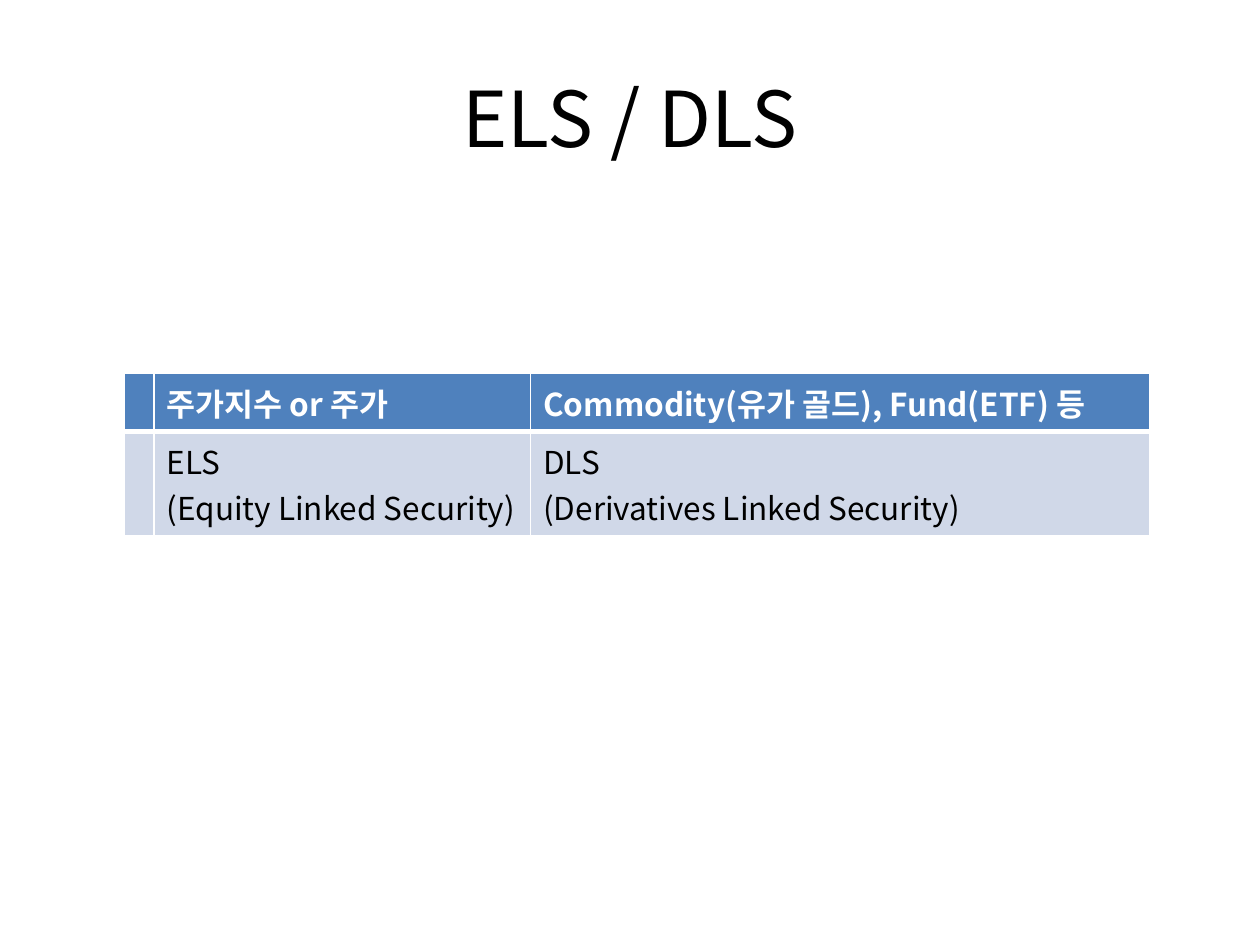
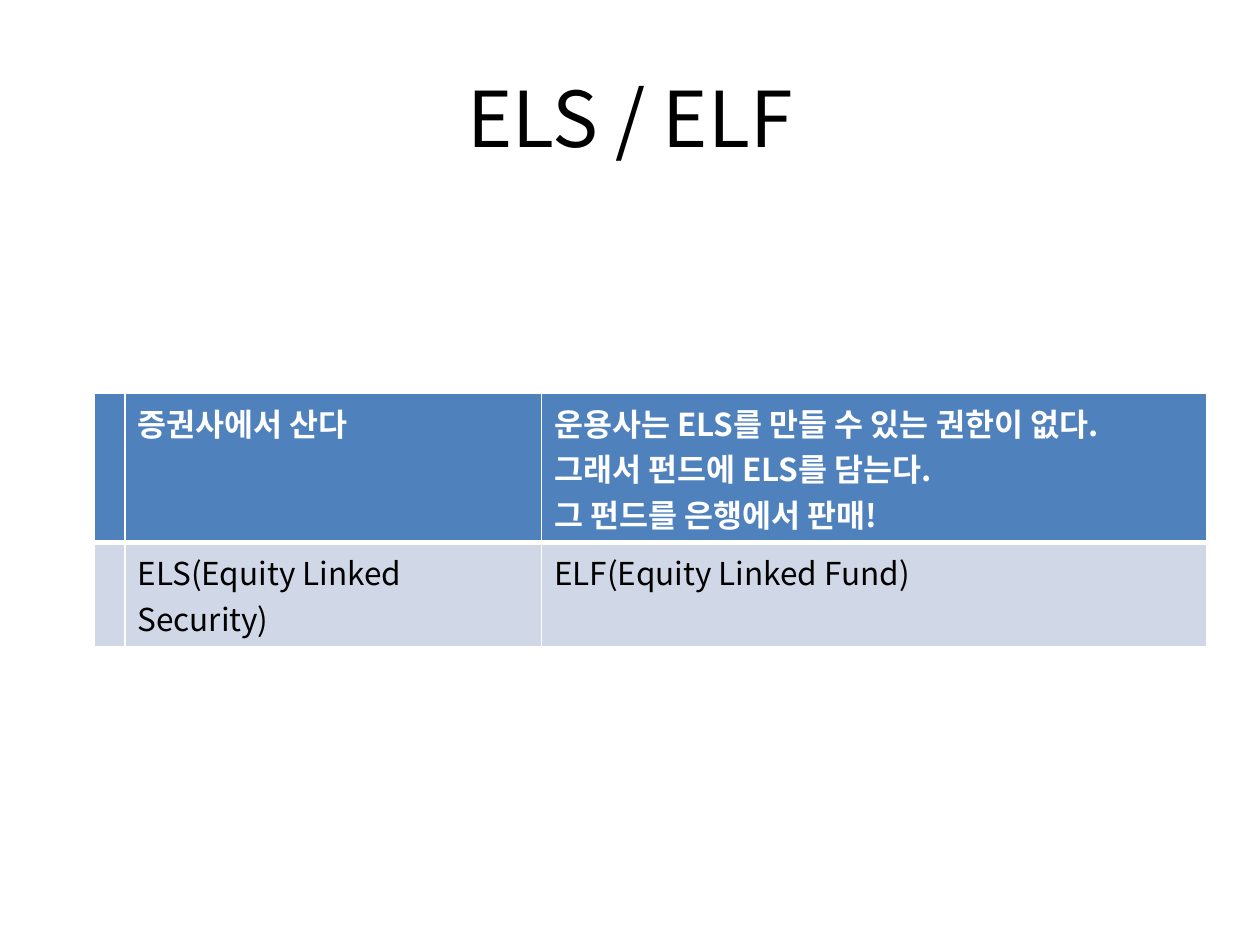
from lxml.etree import SubElement
from pptx import Presentation
from pptx.dml.color import RGBColor
from pptx.enum.text import MSO_ANCHOR, PP_ALIGN
from pptx.oxml import parse_xml
from pptx.oxml.ns import nsdecls, qn
from pptx.util import Cm, Pt

FONT = "Noto Sans CJK KR"
BLACK = RGBColor(0x00, 0x00, 0x00)
WHITE = RGBColor(0xFF, 0xFF, 0xFF)
HEADER_BLUE = RGBColor(0x4F, 0x81, 0xBD)
BODY_BLUE = RGBColor(0xD0, 0xD8, 0xE8)
TITLE_ONLY = 5
ROW_HEIGHT = 1.04
THIN, THICK = 1, 3


def format_text(text_frame, size, color, bold=False):
    for paragraph in text_frame.paragraphs:
        for run in paragraph.runs:
            font = run.font
            font.name = FONT
            font.size = Pt(size)
            font.bold = bold
            font.color.rgb = color
            SubElement(font._element, qn("a:ea"), typeface=FONT)


def set_borders(cell, top, bottom):
    widths = {"lnL": THIN, "lnR": THIN, "lnT": top, "lnB": bottom}
    properties = cell._tc.get_or_add_tcPr()
    for position, (side, width) in enumerate(widths.items()):
        border = parse_xml(
            f'<a:{side} {nsdecls("a")} w="{Pt(width)}"><a:solidFill>'
            f'<a:srgbClr val="{WHITE}"/></a:solidFill></a:{side}>'
        )
        properties.insert(position, border)


def fill_cell(cell, text, is_header):
    cell.fill.solid()
    cell.fill.fore_color.rgb = HEADER_BLUE if is_header else BODY_BLUE
    if is_header:
        set_borders(cell, THIN, THICK)
    else:
        set_borders(cell, THICK, THIN)
    if text:
        cell.text_frame.text = text
        format_text(cell.text_frame, 18, WHITE if is_header else BLACK, is_header)


def add_title(slide, text):
    title = slide.shapes.title
    title.left, title.top = Cm(1.27), Cm(0.76)
    title.width, title.height = Cm(22.86), Cm(3.18)
    title.text_frame.text = text
    title.text_frame.vertical_anchor = MSO_ANCHOR.MIDDLE
    title.text_frame.paragraphs[0].alignment = PP_ALIGN.CENTER
    format_text(title.text_frame, 44, BLACK)


def add_comparison(slide, left, top, column_widths, row_heights, rows):
    table = slide.shapes.add_table(
        len(rows), len(column_widths), Cm(left), Cm(top),
        Cm(sum(column_widths)), Cm(sum(row_heights)),
    ).table
    for column, width in zip(table.columns, column_widths):
        column.width = Cm(width)
    for row, height in zip(table.rows, row_heights):
        row.height = Cm(height)
    for row_index, texts in enumerate(rows):
        for column_index, text in enumerate(texts):
            fill_cell(table.cell(row_index, column_index), text, row_index == 0)


def add_comparison_slide(deck, title, **comparison):
    slide = deck.slides.add_slide(deck.slide_layouts[TITLE_ONLY])
    add_title(slide, title)
    add_comparison(slide, **comparison)


def main():
    deck = Presentation()
    deck.slide_width, deck.slide_height = Cm(25.4), Cm(19.05)
    add_comparison_slide(
        deck, "ELS / DLS", left=2.5, top=7.53,
        column_widths=(0.6, 7.59, 12.48), row_heights=(ROW_HEIGHT, ROW_HEIGHT),
        rows=(
            ("", "주가지수 or 주가", "Commodity(유가 골드), Fund(ETF) 등"),
            ("", "ELS\n(Equity Linked Security)", "DLS\n(Derivatives Linked Security)"),
        ),
    )
    add_comparison_slide(
        deck, "ELS / ELF", left=1.91, top=7.93,
        column_widths=(0.6, 8.4, 13.4), row_heights=(0.33, ROW_HEIGHT),
        rows=(
            (
                "", "증권사에서 산다",
                "운용사는 ELS를 만들 수 있는 권한이 없다.\n"
                "그래서 펀드에 ELS를 담는다.\n"
                "그 펀드를 은행에서 판매!",
            ),
            ("", "ELS(Equity Linked Security)", "ELF(Equity Linked Fund)"),
        ),
    )
    deck.save("out.pptx")


if __name__ == "__main__":
    main()
